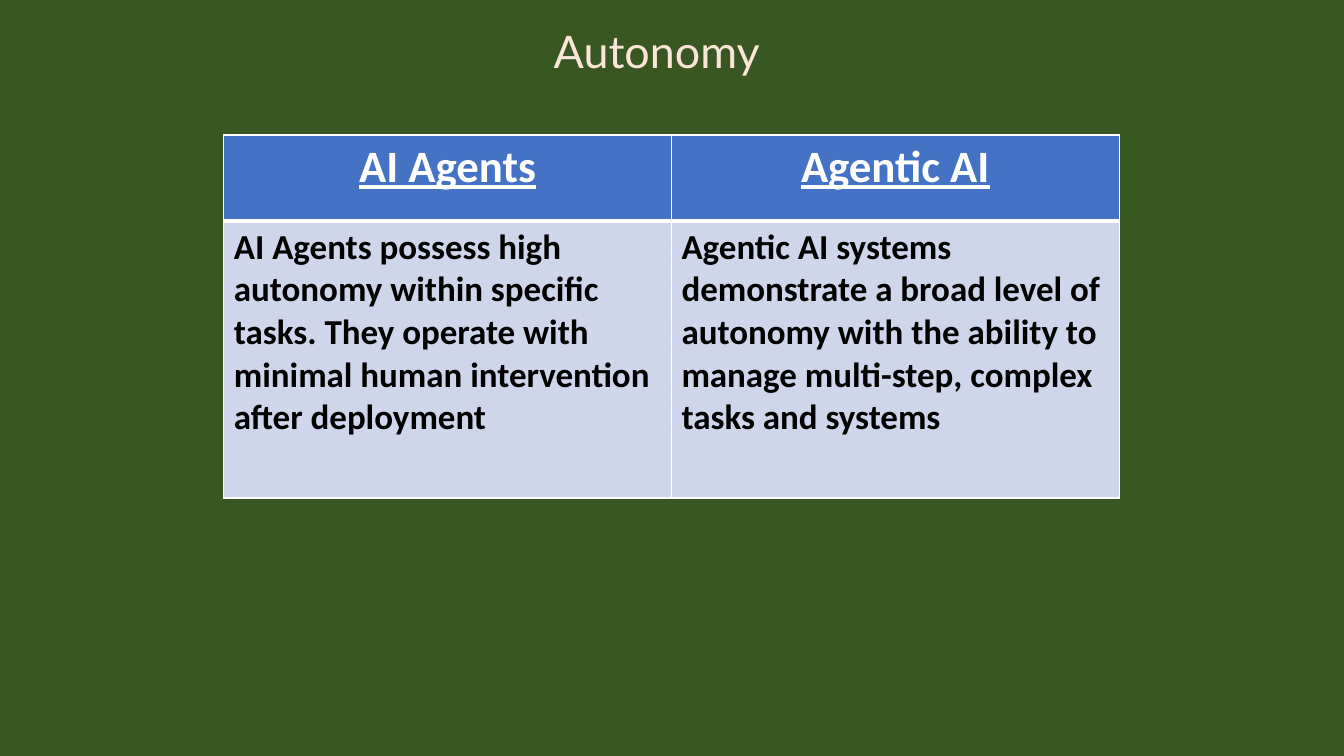
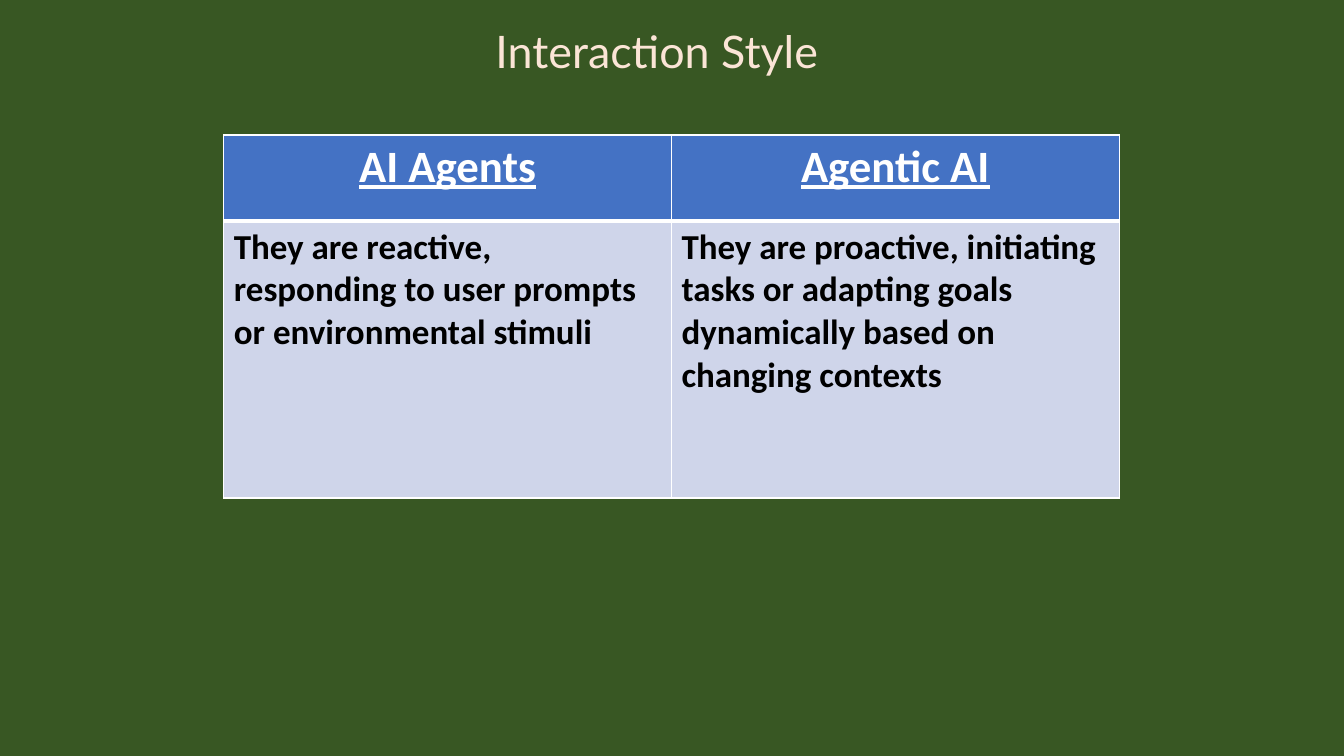
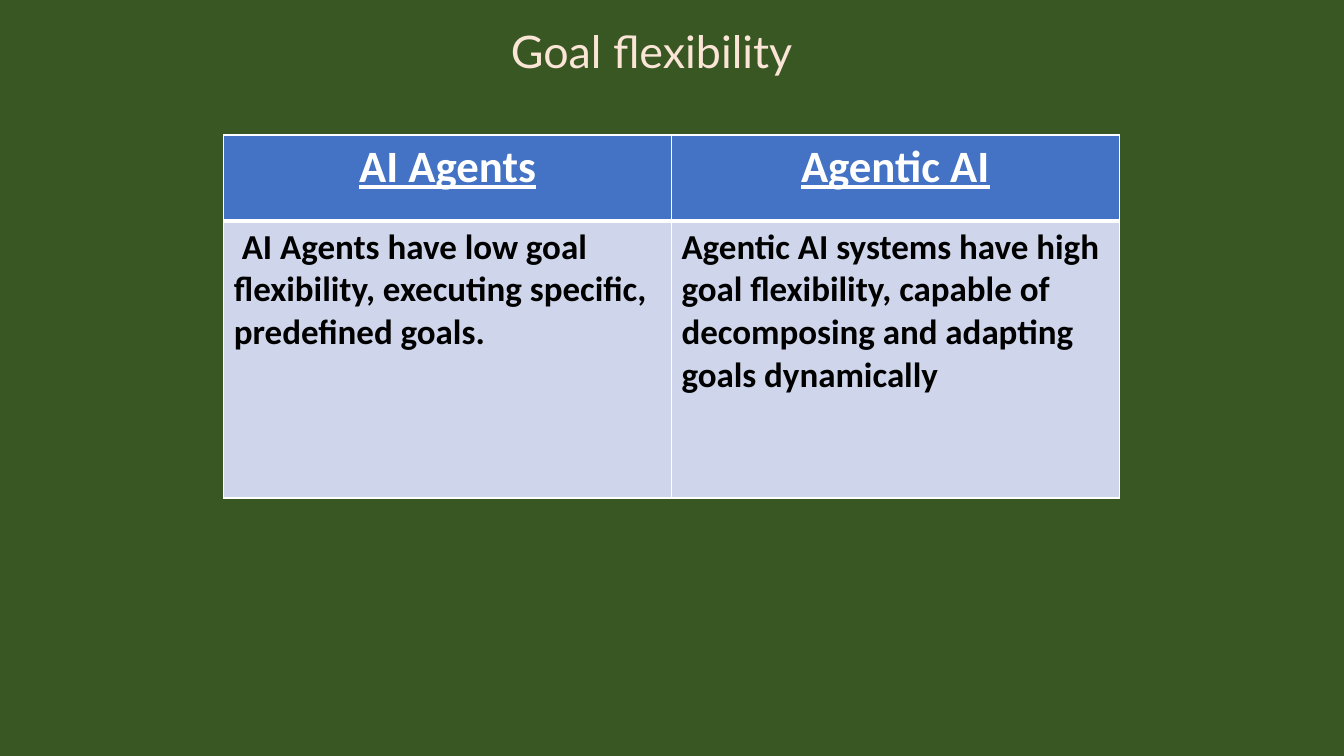
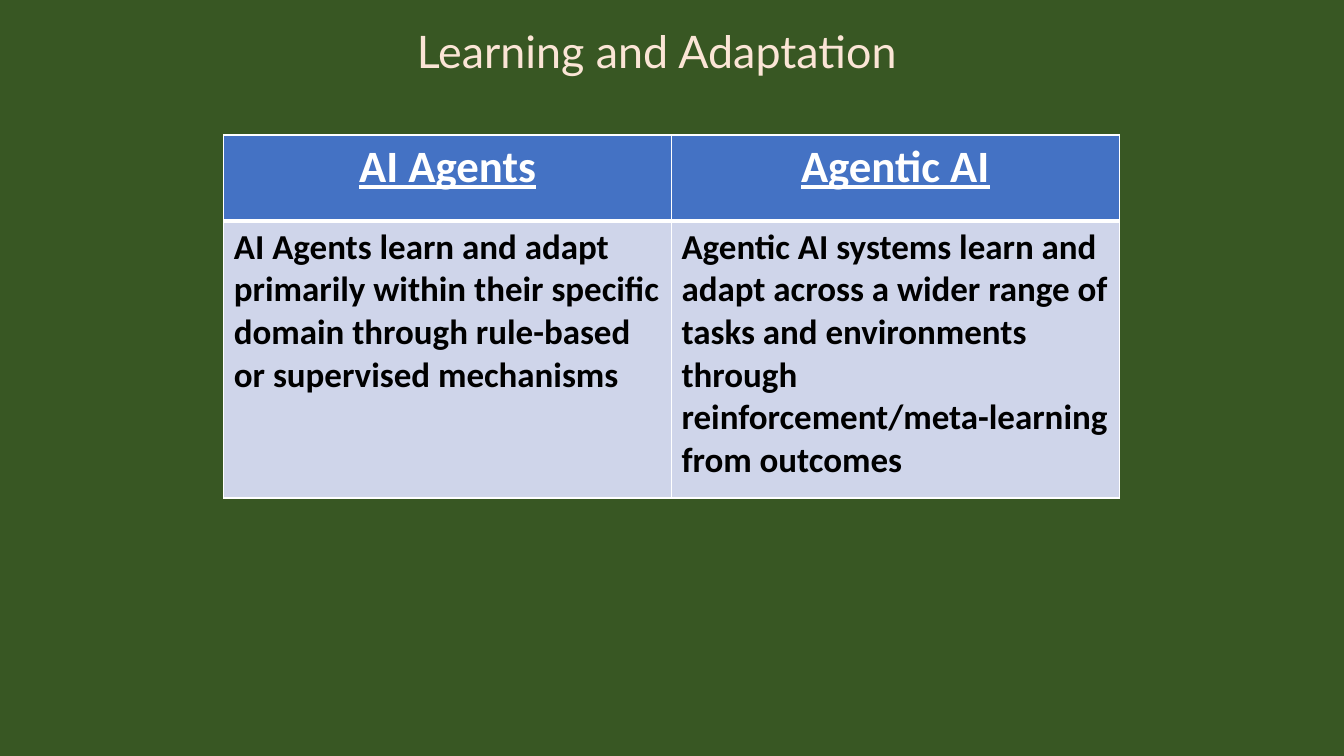
from lxml import etree
from pptx import Presentation
from pptx import util as u
from pptx.dml import color
from pptx.enum import text
from pptx.oxml import ns

# Shared look
BACKGROUND = "385723"
HEADER_FILL = "4472C4"
BODY_FILL = "CFD5EA"
BORDER = "FFFFFF"
TITLE_FORMAT = {"size": u.Pt(32), "name": "Lato"}
HEADER_FORMAT = {"size": u.Pt(32), "name": "Calibri", "bold": True, "underline": True}
BODY_FORMAT = {"size": u.Pt(25), "name": "Calibri", "bold": True}

# Shared geometry, in inches
SLIDE_WIDTH, SLIDE_HEIGHT = 13.33, 7.5
TITLE_BOX = (2.7, 0.19, 7.63, 0.64)
TABLE_LEFT, TABLE_TOP = 2.22, 1.34
COLUMN_WIDTH = 4.44
ROW_HEIGHTS = (0.85, 2.75)

# Border widths in points: left, right, top, bottom
HEADER_BORDERS = {"lnL": 1, "lnR": 1, "lnT": 1, "lnB": 3}
BODY_BORDERS = {"lnL": 1, "lnR": 1, "lnT": 3, "lnB": 1}

# Content: title, AI Agents text, Agentic AI text
HEADERS = ("AI Agents", "Agentic AI")
COMPARISONS = [
    ("Autonomy",
     "AI Agents possess high autonomy within specific tasks. "
     "They operate with minimal human intervention after deployment",
     "Agentic AI systems demonstrate a broad level of autonomy with the ability "
     "to manage multi-step, complex tasks and systems"),
    ("Interaction Style",
     "They are reactive, responding to user prompts or environmental stimuli",
     "They are proactive, initiating tasks or adapting goals dynamically "
     "based on changing contexts"),
    ("Goal flexibility ",
     " AI Agents have low goal flexibility, executing specific, predefined goals.",
     "Agentic AI systems have high goal flexibility, capable of decomposing "
     "and adapting goals dynamically"),
    ("Learning and Adaptation",
     "AI Agents learn and adapt primarily within their specific domain through "
     "rule-based or supervised mechanisms",
     "Agentic AI systems learn and adapt across a wider range of tasks and "
     "environments through reinforcement/meta-learning from outcomes"),
]


def rgb(value):
    return color.RGBColor.from_string(value)


def fill_solid(fill, value):
    fill.solid()
    fill.fore_color.rgb = rgb(value)


def write_text(frame, words, font_format, font_color, alignment):
    paragraph = frame.paragraphs[0]
    paragraph.alignment = alignment
    run = paragraph.add_run()
    run.text = words
    for name, value in font_format.items():
        setattr(run.font, name, value)
    run.font.color.rgb = rgb(font_color)


def add_borders(cell, widths):
    properties = cell._tc.get_or_add_tcPr()
    for edge, points in widths.items():
        line = etree.SubElement(properties, ns.qn(f"a:{edge}"), w=str(u.Pt(points)))
        solid = etree.SubElement(line, ns.qn("a:solidFill"))
        etree.SubElement(solid, ns.qn("a:srgbClr"), val=BORDER)


def add_title(slide, title):
    box = slide.shapes.add_textbox(*map(u.Inches, TITLE_BOX))
    frame = box.text_frame
    frame.word_wrap = True
    frame.auto_size = text.MSO_AUTO_SIZE.SHAPE_TO_FIT_TEXT
    write_text(frame, title, TITLE_FORMAT, "FBE5D6", text.PP_ALIGN.CENTER)


def add_comparison_table(slide, bodies):
    columns = len(HEADERS)
    table = slide.shapes.add_table(
        len(ROW_HEIGHTS), columns, u.Inches(TABLE_LEFT), u.Inches(TABLE_TOP),
        u.Inches(columns * COLUMN_WIDTH), u.Inches(sum(ROW_HEIGHTS))).table
    for column in table.columns:
        column.width = u.Inches(COLUMN_WIDTH)
    for row, height in zip(table.rows, ROW_HEIGHTS):
        row.height = u.Inches(height)

    row_styles = [
        (HEADERS, HEADER_FILL, HEADER_BORDERS,
         (HEADER_FORMAT, "FFFFFF", text.PP_ALIGN.CENTER)),
        (bodies, BODY_FILL, BODY_BORDERS,
         (BODY_FORMAT, "000000", text.PP_ALIGN.LEFT)),
    ]
    for row, (entries, fill, borders, text_style) in zip(table.rows, row_styles):
        for cell, words in zip(row.cells, entries):
            add_borders(cell, borders)
            fill_solid(cell.fill, fill)
            write_text(cell.text_frame, words, *text_style)


def main():
    presentation = Presentation()
    presentation.slide_width = u.Inches(SLIDE_WIDTH)
    presentation.slide_height = u.Inches(SLIDE_HEIGHT)
    blank_layout = presentation.slide_layouts[6]
    fill_solid(presentation.slide_master.background.fill, BACKGROUND)

    for title, *bodies in COMPARISONS:
        slide = presentation.slides.add_slide(blank_layout)
        add_title(slide, title)
        add_comparison_table(slide, bodies)

    presentation.save("out.pptx")


if __name__ == "__main__":
    main()
